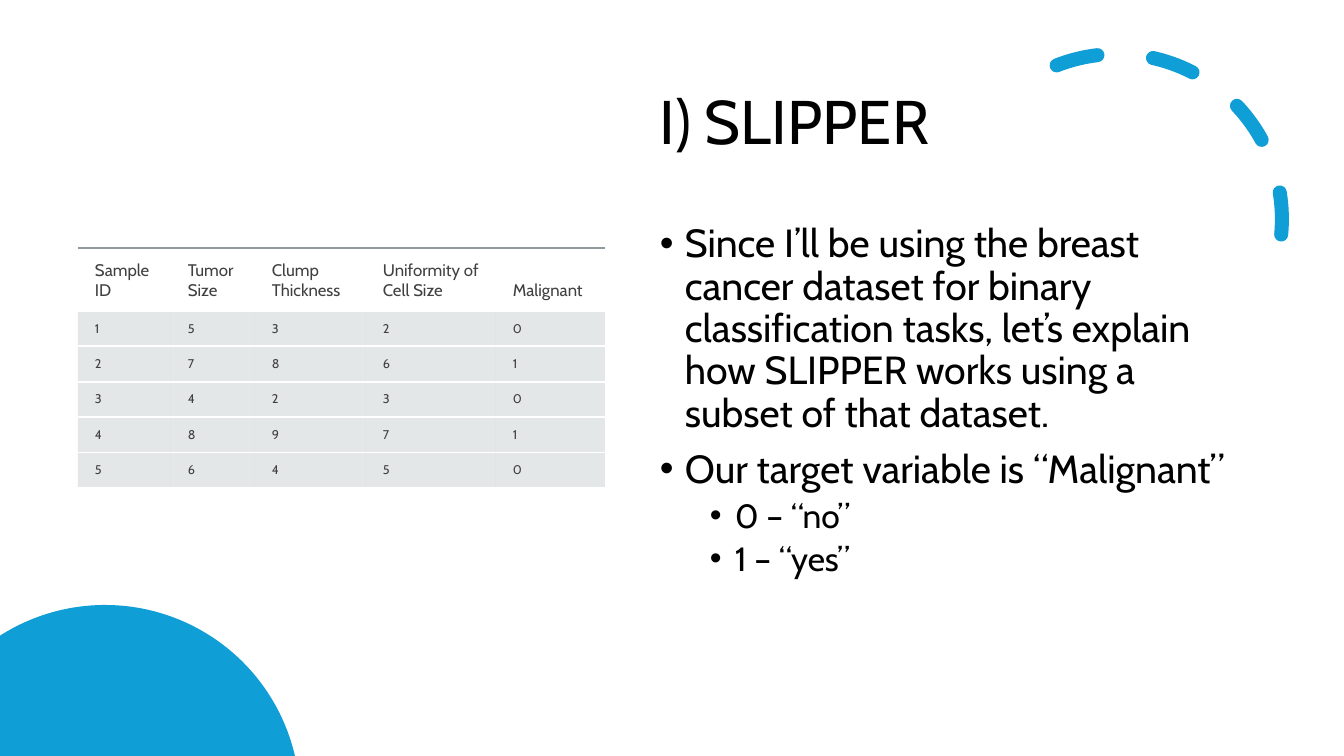
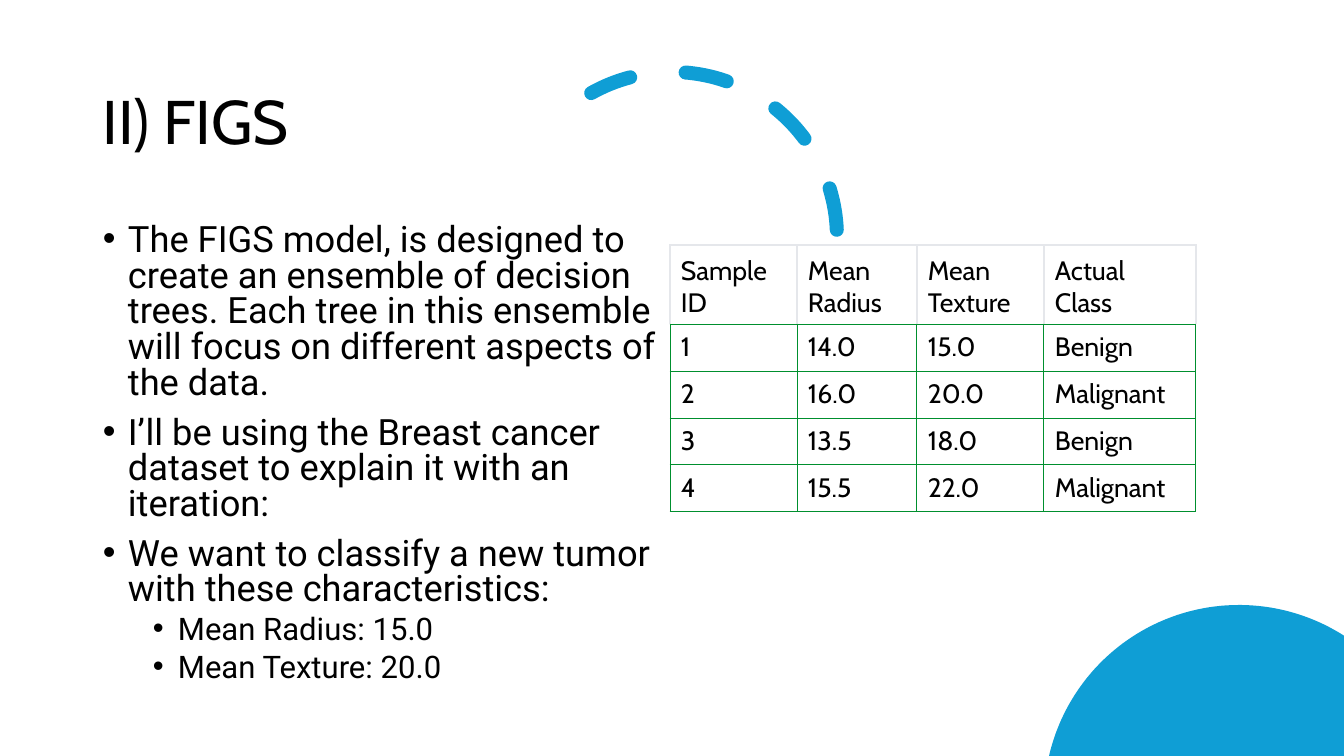
import math

from lxml import etree
from pptx import Presentation
from pptx import util as u
from pptx.dml.color import RGBColor
from pptx.enum import dml, shapes, text
from pptx.oxml.ns import qn

# Shared style
WIDTH, HEIGHT = 1344, 756
EMU_PER_PX = 12192000 / WIDTH
COLORS = {
    "accent": "0F9ED5",
    "ink": "000000",
    "soft_ink": "404040",
    "white": "FFFFFF",
    "rule": "8F9A9D",
    "band": "B4BCBE",
    "pale": "E5E7EB",
    "green": "008F2E",
}
HEADING_FONT = "Cabin"
TITLE_TOP, TITLE_HEIGHT = 52, 146
BODY_TOP, BODY_HEIGHT = 219, 462
INDENT = 25
TOP, MIDDLE, BOTTOM = (text.MSO_ANCHOR.TOP, text.MSO_ANCHOR.MIDDLE,
                       text.MSO_ANCHOR.BOTTOM)

# Bullets: (level, words)
SLIPPER_POINTS = [
    (0, "Since I’ll be using the breast cancer dataset for binary classification "
        "tasks, let’s explain how SLIPPER works using a subset of that dataset."),
    (0, "Our target variable is “Malignant”"),
    (1, "0 – “no”"),
    (1, "1 – “yes”"),
]
FIGS_POINTS = [
    (0, "The FIGS model, is designed to create an ensemble of decision trees. Each "
        "tree in this ensemble will focus on different aspects of the data."),
    (0, "I’ll be using the Breast cancer dataset to explain it with an iteration:"),
    (0, "We want to classify a new tumor with these characteristics:"),
    (1, "Mean Radius: 15.0"),
    (1, "Mean Texture: 20.0"),
]
SLIPPER_ROWS = [
    ["Sample ID", "Tumor Size", "Clump Thickness", "Uniformity of Cell Size",
     "Malignant"],
    ["1", "5", "3", "2", "0"],
    ["2", "7", "8", "6", "1"],
    ["3", "4", "2", "3", "0"],
    ["4", "8", "9", "7", "1"],
    ["5", "6", "4", "5", "0"],
]
FIGS_ROWS = [
    ["Sample ID", "Mean Radius", "Mean Texture", "Actual Class"],
    ["1", "14.0", "15.0", "Benign"],
    ["2", "16.0", "20.0", "Malignant"],
    ["3", "13.5", "18.0", "Benign"],
    ["4", "15.5", "22.0", "Malignant"],
]

# Cell styles; borders map a side to (colour, points, opacity %)
WHITE_LINE = ("white", 1.5, 100)
PALE_LINE = ("pale", 1, 100)
GREEN_LINE = ("green", 0.75, 100)
SLIPPER_HEAD = dict(
    size=12, color="soft_ink", anchor=BOTTOM, insets=(17, 10, 10, 10),
    borders={"T": ("rule", 1.5, 60), "B": WHITE_LINE})
SLIPPER_CELL = dict(
    size=9, color="soft_ink", anchor=MIDDLE, insets=(17, 9, 9, 9),
    borders={"T": WHITE_LINE, "B": WHITE_LINE}, band=("band", 35))
FIGS_CELL = dict(
    size=19, color="ink", anchor=MIDDLE, insets=(11, 5, 11, 5),
    borders=dict.fromkeys("LRTB", GREEN_LINE))
FIGS_HEAD = dict(
    FIGS_CELL, anchor=BOTTOM,
    borders={**dict.fromkeys("LRT", PALE_LINE), "B": GREEN_LINE})


def px(length):
    return u.Emu(round(length * EMU_PER_PX))


def rgb(name):
    return RGBColor.from_string(COLORS[name])


def write(para, words, *, size, font=HEADING_FONT, color="ink", spacing=None,
          before=None):
    """Put one formatted span into a paragraph."""
    span = para.add_run()
    span.text = words
    span.font.size = u.Pt(size)
    span.font.name = font
    span.font.color.rgb = rgb(color)
    if spacing:
        para.line_spacing = spacing
    if before:
        para.space_before = u.Pt(before)


def add_bullet(para, level):
    props = para._p.get_or_add_pPr()
    props.set("marL", str(px(INDENT * (1 + 2 * level))))
    props.set("indent", str(-px(INDENT)))
    etree.SubElement(props, qn("a:buFont")).set("typeface", "Arial")
    etree.SubElement(props, qn("a:buChar")).set("char", "•")


def add_frame(page, left, top, width, height, anchor):
    box = page.shapes.add_textbox(px(left), px(top), px(width), px(height))
    frame = box.text_frame
    frame.word_wrap = True
    frame.vertical_anchor = anchor
    return frame


def add_title(page, words, left, width):
    frame = add_frame(page, left, TITLE_TOP, width, TITLE_HEIGHT, MIDDLE)
    write(frame.paragraphs[0], words, size=44, spacing=0.9)


def add_points(page, points, left, width, *, sizes, font, spacing):
    frame = add_frame(page, left, BODY_TOP, width, BODY_HEIGHT, TOP)
    for index, (level, words) in enumerate(points):
        para = frame.add_paragraph() if index else frame.paragraphs[0]
        write(para, words, size=sizes[level], font=font, spacing=spacing,
              before=(10, 5)[level])
        add_bullet(para, level)


def add_dashed_arc(page, left, top, *, rotation=0, flipped=False):
    arc = page.shapes.add_shape(
        shapes.MSO_SHAPE.ARC, px(left), px(top), px(330), px(330))
    arc.shadow.inherit = False
    arc.adjustments[0] = 144.42
    arc.adjustments[1] = 0
    arc.rotation = rotation
    arc.fill.background()
    arc.line.color.rgb = rgb("accent")
    arc.line.width = u.Pt(10)
    arc.line.dash_style = dml.MSO_LINE.DASH
    props = arc.element.spPr
    props.find(qn("a:ln")).set("cap", "rnd")
    if flipped:
        props.find(qn("a:xfrm")).set("flipH", "1")


def add_corner_disc(page, *, on_right=False):
    """Draw a disc cut off by the bottom and one side of the slide."""
    center_x, center_y, radius, steps = 105, 800, 195, 90
    start = math.acos(-center_x / radius)
    end = math.asin((center_y - HEIGHT) / radius)
    angles = [start + (end - start) * step / steps for step in range(steps + 1)]
    outline = [(center_x + radius * math.cos(angle),
                center_y - radius * math.sin(angle)) for angle in angles]
    outline.append((0, HEIGHT))
    points = [(px(WIDTH - x if on_right else x), px(y)) for x, y in outline]
    builder = page.shapes.build_freeform(*points[0])
    builder.add_line_segments(points[1:], close=True)
    disc = builder.convert_to_shape()
    disc.shadow.inherit = False
    disc.fill.solid()
    disc.fill.fore_color.rgb = rgb("accent")
    disc.line.fill.background()


def add_solid(parent, color, opacity):
    fill = etree.SubElement(parent, qn("a:solidFill"))
    tone = etree.SubElement(fill, qn("a:srgbClr"))
    tone.set("val", COLORS[color])
    if opacity < 100:
        etree.SubElement(tone, qn("a:alpha")).set("val", str(opacity * 1000))


def fill_cell(cell, words, *, size, color, anchor, insets, borders, band=None):
    write(cell.text_frame.paragraphs[0], words, size=size, color=color)
    cell.vertical_anchor = anchor
    (cell.margin_left, cell.margin_top,
     cell.margin_right, cell.margin_bottom) = map(px, insets)
    props = cell._tc.get_or_add_tcPr()
    for side in "LRTB":
        line = etree.SubElement(props, qn(f"a:ln{side}"))
        if side in borders:
            tone, points, opacity = borders[side]
            line.set("w", str(u.Pt(points)))
            add_solid(line, tone, opacity)
        else:
            etree.SubElement(line, qn("a:noFill"))
    if band:
        add_solid(props, *band)
    else:
        cell.fill.background()


def add_grid(page, rows, left, top, height, *, columns, head_height, head, body):
    table = page.shapes.add_table(
        len(rows), len(columns), px(left), px(top), px(sum(columns)),
        px(height)).table
    table.first_row = table.horz_banding = False
    for column, width in zip(table.columns, columns):
        column.width = px(width)
    body_height = px((height - head_height) / (len(rows) - 1))
    for index, values in enumerate(rows):
        table.rows[index].height = body_height if index else px(head_height)
        for column, words in enumerate(values):
            fill_cell(table.cell(index, column), words,
                      **(body if index else head))


def build_slipper(page):
    left, width = 650, 602
    add_dashed_arc(page, 952, 54, rotation=66.1, flipped=True)
    add_title(page, "I) SLIPPER", left, width)
    add_corner_disc(page)
    add_points(page, SLIPPER_POINTS, left, width, sizes=(28, 24),
               font=HEADING_FONT, spacing=0.9)
    add_grid(page, SLIPPER_ROWS, 78, 248, 240, columns=(93, 84, 111, 130, 109),
             head_height=63, head=SLIPPER_HEAD, body=SLIPPER_CELL)


def build_figs(page):
    left, width = 93, 580
    add_corner_disc(page, on_right=True)
    add_dashed_arc(page, 507, 72)
    add_title(page, "II) FIGS", left, width)
    add_points(page, FIGS_POINTS, left, width, sizes=(25.9, 22.2),
               font="Roboto", spacing=0.82)
    add_grid(page, FIGS_ROWS, 670, 245, 267, columns=(127, 120, 127, 152),
             head_height=79, head=FIGS_HEAD, body=FIGS_CELL)


def main():
    deck = Presentation()
    deck.slide_width, deck.slide_height = px(WIDTH), px(HEIGHT)
    for build in (build_slipper, build_figs):
        build(deck.slides.add_slide(deck.slide_layouts[6]))
    deck.save("out.pptx")


if __name__ == "__main__":
    main()
